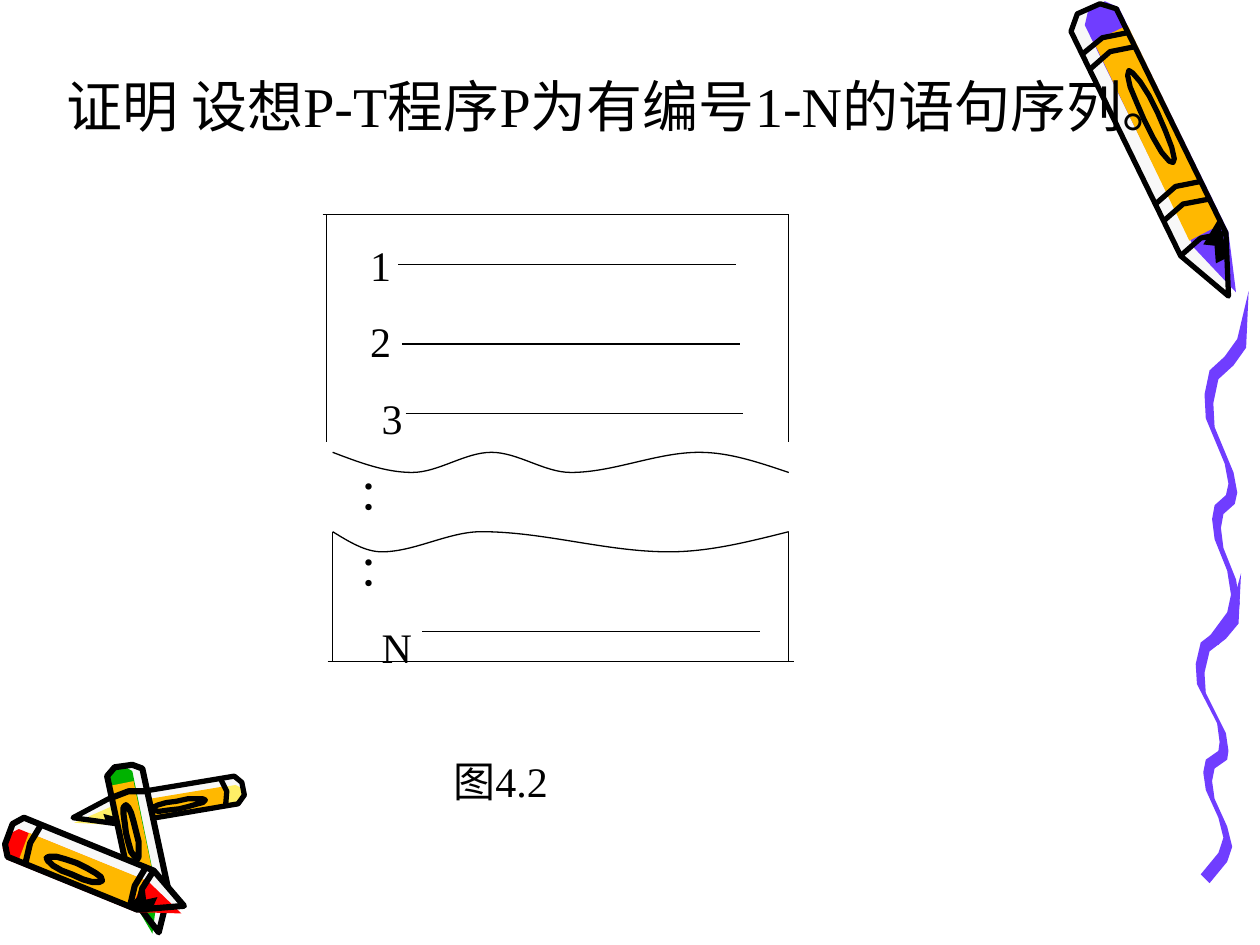
"""Build the slide on the numbered statement sequence of a program."""
import dataclasses
import math

import pptx
import pptx.dml.color
import pptx.enum.text
import pptx.oxml.ns
import pptx.util

PX = 9144
BLACK, PURPLE, AMBER = "000000", "703DFF", "FFB800"
RED, GREEN, YELLOW, PALE = "FF0000", "00B200", "FFEF66", "F8F8F8"

FRAME_LEFT, FRAME_RIGHT, FRAME_TOP, FRAME_BOTTOM = 264, 626, 170, 525
UPPER_END, LOWER_START = 351, 422
STATEMENT_STARTS = [(316, 210), (319, 273), (322, 328), (335, 501)]
STATEMENT_LENGTH = 268
STATEMENT_LABELS = [("1", 91), ("2", 91), ("3", 100), ("：", 82), ("：", 82), ("N", 100)]
UPPER_TEAR = [(FRAME_LEFT, 359), (327, 375), (390, 359), (453, 375), (555, 359), (FRAME_RIGHT, 375)]
LOWER_TEAR = [(FRAME_LEFT, 422), (303, 438), (382, 422), (531, 438), (FRAME_RIGHT, 422)]

RIBBON_STRANDS = [(949, 455, 36, 239), (956, 231, 35, 274)]
RIBBON_PEN = (7, 7)
RIBBON_BENDS = [(100, 0), (74, 14), (46, 19), (11, 23), (0, 30), (3, 37), (46, 50), (54, 56),
                (49, 59), (23, 62), (17, 66), (23, 72), (51, 81), (60, 88), (51, 93), (11, 100)]


def colour(value):
    """Turn a hex string into a colour."""
    return pptx.dml.color.RGBColor.from_string(value)


@dataclasses.dataclass
class Crayon:
    """Describes a crayon; positions along it run from 0 at the butt to 1 at the tip."""

    butt: tuple
    tip: tuple
    half_width: int
    wax: str
    lean: int
    taper: float
    bands: tuple
    pen: float
    label_centre: float = 0.39
    label_reach: float = 0.16

    def place(self, points):
        """Map (along, across) points to the slide, with across -1 and 1 at the edges."""
        dx, dy = self.tip[0] - self.butt[0], self.tip[1] - self.butt[1]
        reach = self.half_width / math.hypot(dx, dy)
        return [(self.butt[0] + along * dx + across * reach * dy,
                 self.butt[1] + along * dy - across * reach * dx) for along, across in points]

    def tint(self, points):
        """Place points narrowed and moved to the coloured side, leaving a pale edge."""
        return self.place([(along, 0.75 * across + 0.35 * self.lean) for along, across in points])

    def silhouette(self):
        """Give the whole crayon with a bevelled butt and a pointed tip."""
        return [(0.04, -1), (0, -0.5), (0, 0.5), (0.04, 1), (self.taper, 1), (1, 0), (self.taper, -1)]

    def wrapper(self):
        """Give the paper sleeve between the butt and the tip."""
        start, end = 0.1, self.taper - 0.03
        return [(start, -1), (start, 1), (end, 1), (end, -1)]

    def label(self, corners=16):
        """Give the oval printed on the wrapper."""
        turns = [2 * math.pi * step / corners for step in range(corners)]
        return [(self.label_centre + self.label_reach * math.cos(turn), 0.4 * math.sin(turn))
                for turn in turns]

    def shade(self):
        """Give the dark notch where the tip leaves the wrapper."""
        return [(self.taper - 0.05, self.lean), (self.taper, 0), (self.taper + 0.02, 0.4 * self.lean),
                (self.taper + 0.07, 0.1 * self.lean), (self.taper + 0.07, 0.7 * self.lean)]


CRAYONS = [
    Crayon((193, 626), (58, 649), 11, YELLOW, 1, 0.75, (0.12,), 3),
    Crayon((98, 608), (126, 740), 14, GREEN, -1, 0.78, (0.17,), 3.5),
    Crayon((7, 662), (146, 719), 17, RED, -1, 0.78, (0.14, 0.74), 3.5),
    Crayon((864, 7), (975, 235), 20, PURPLE, 1, 0.82, (0.12, 0.17, 0.64, 0.7), 3),
]


class Board:
    """Holds the text style and the current slide."""

    def __init__(self, slide, font="Times New Roman", ink=BLACK):
        """Keep the slide, the font and the ink colour."""
        self.shapes, self.font, self.ink = slide.shapes, font, ink

    def outline(self, points, fill=None, width=None, close=True):
        """Add a shape through points, with a fill, an ink line or both."""
        corners = [(round(x), round(y)) for x, y in points]
        builder = self.shapes.build_freeform(*corners[0], scale=PX)
        builder.add_line_segments(corners[1:], close=close)
        shape = builder.convert_to_shape()
        shape.shadow.inherit = False
        if fill:
            shape.fill.solid()
            shape.fill.fore_color.rgb = colour(fill)
        else:
            shape.fill.background()
        if width:
            shape.line.color.rgb = colour(self.ink)
            shape.line.width = pptx.util.Pt(width)
        else:
            shape.line.fill.background()
        return shape

    def wave(self, knots, width=0.75):
        """Add a smooth line, level at its inner knots and sloping at both ends."""
        points = [knots[0]]
        for (x1, y1), (x2, y2) in zip(knots, knots[1:]):
            third, middle = (x2 - x1) / 3, (y1 + y2) / 2
            leave = middle if (x1, y1) == knots[0] else y1
            arrive = middle if (x2, y2) == knots[-1] else y2
            points += [(x1 + third, leave), (x2 - third, arrive), (x2, y2)]
        shape = self.outline(points, width=width, close=False)
        tag = pptx.oxml.ns.qn
        route = next(shape._element.iter(tag("a:path")))
        steps = route.findall(tag("a:lnTo"))
        for first in range(0, len(steps), 3):
            bezier = route.makeelement(tag("a:cubicBezTo"), {})
            for step in steps[first:first + 3]:
                bezier.append(step[0])
                route.remove(step)
            route.append(bezier)

    def ribbon(self, left, top, width, height):
        """Add one strand, swept by a slanted pen along the shared bends."""
        edge = [(left + width * x / 100, top + height * y / 100) for x, y in RIBBON_BENDS]
        swept = [(x + RIBBON_PEN[0], y + RIBBON_PEN[1]) for x, y in edge[1:]]
        self.outline(edge + swept[::-1], PURPLE)

    def crayon(self, crayon):
        """Add a crayon from its pale base up to its ink."""
        body = crayon.silhouette()
        self.outline(crayon.place(body), PALE)
        self.outline(crayon.tint(body), crayon.wax)
        self.outline(crayon.tint(crayon.wrapper()), AMBER)
        self.outline(crayon.place(crayon.shade()), self.ink)
        self.outline(crayon.tint(crayon.label()), AMBER, crayon.pen)
        for along in (*crayon.bands, crayon.taper):
            bend = [(along, -1), (along - 0.02, 0), (along, 1)]
            self.outline(crayon.place(bend), width=crayon.pen, close=False)
        self.outline(crayon.place(body), width=crayon.pen)

    def line(self, x1, y1, x2, y2, width=0.75):
        """Add a straight line."""
        connector = self.shapes.add_connector(1, x1 * PX, y1 * PX, x2 * PX, y2 * PX)
        connector.line.color.rgb = colour(self.ink)
        connector.line.width = pptx.util.Pt(width)
        properties = connector._element.spPr
        properties.append(properties.makeelement(pptx.oxml.ns.qn("a:effectLst"), {}))

    def text(self, left, top, width, height, rows, size, pitch=None, gap=0):
        """Add a text box with one paragraph per (wording, indent) row."""
        box = self.shapes.add_textbox(left * PX, top * PX, width * PX, height * PX)
        frame = box.text_frame
        frame.word_wrap = True
        frame.auto_size = pptx.enum.text.MSO_AUTO_SIZE.SHAPE_TO_FIT_TEXT
        for index, (wording, indent) in enumerate(rows):
            paragraph = frame.add_paragraph() if index else frame.paragraphs[0]
            paragraph.text = wording
            if indent:
                paragraph._p.get_or_add_pPr().set("marL", str(indent * PX))
            if pitch:
                paragraph.line_spacing = pptx.util.Pt(pitch)
            if index:
                paragraph.space_before = pptx.util.Pt(gap)
            paragraph.font.size = pptx.util.Pt(size)
            paragraph.font.name = self.font
            paragraph.font.color.rgb = colour(self.ink)


def main():
    """Build and save the slide."""
    deck = pptx.Presentation()
    deck.slide_width, deck.slide_height = 1000 * PX, 750 * PX
    board = Board(deck.slides.add_slide(deck.slide_layouts[6]))

    for strand in RIBBON_STRANDS:
        board.ribbon(*strand)
    for crayon in CRAYONS:
        board.crayon(crayon)

    board.text(43, 52, 866, 117, [("证明 设想P-T程序P为有编号1-N的语句序列。", 0)], 32)
    board.text(193, 185, 638, 415, STATEMENT_LABELS, 24, pitch=28.7, gap=15)
    board.line(256, FRAME_TOP, FRAME_RIGHT, FRAME_TOP)
    board.line(260, FRAME_BOTTOM, 630, FRAME_BOTTOM)
    for upper_x, lower_x in [(259, FRAME_LEFT), (FRAME_RIGHT, FRAME_RIGHT)]:
        board.line(upper_x, FRAME_TOP, upper_x, UPPER_END)
        board.line(lower_x, FRAME_BOTTOM, lower_x, LOWER_START)
    for x, y in STATEMENT_STARTS:
        board.line(x, y, x + STATEMENT_LENGTH, y)
    for tear in (UPPER_TEAR, LOWER_TEAR):
        board.wave(tear)
    board.text(350, 595, 118, 50, [("图4.2", 0)], 24)

    deck.save("out.pptx")


if __name__ == "__main__":
    main()
